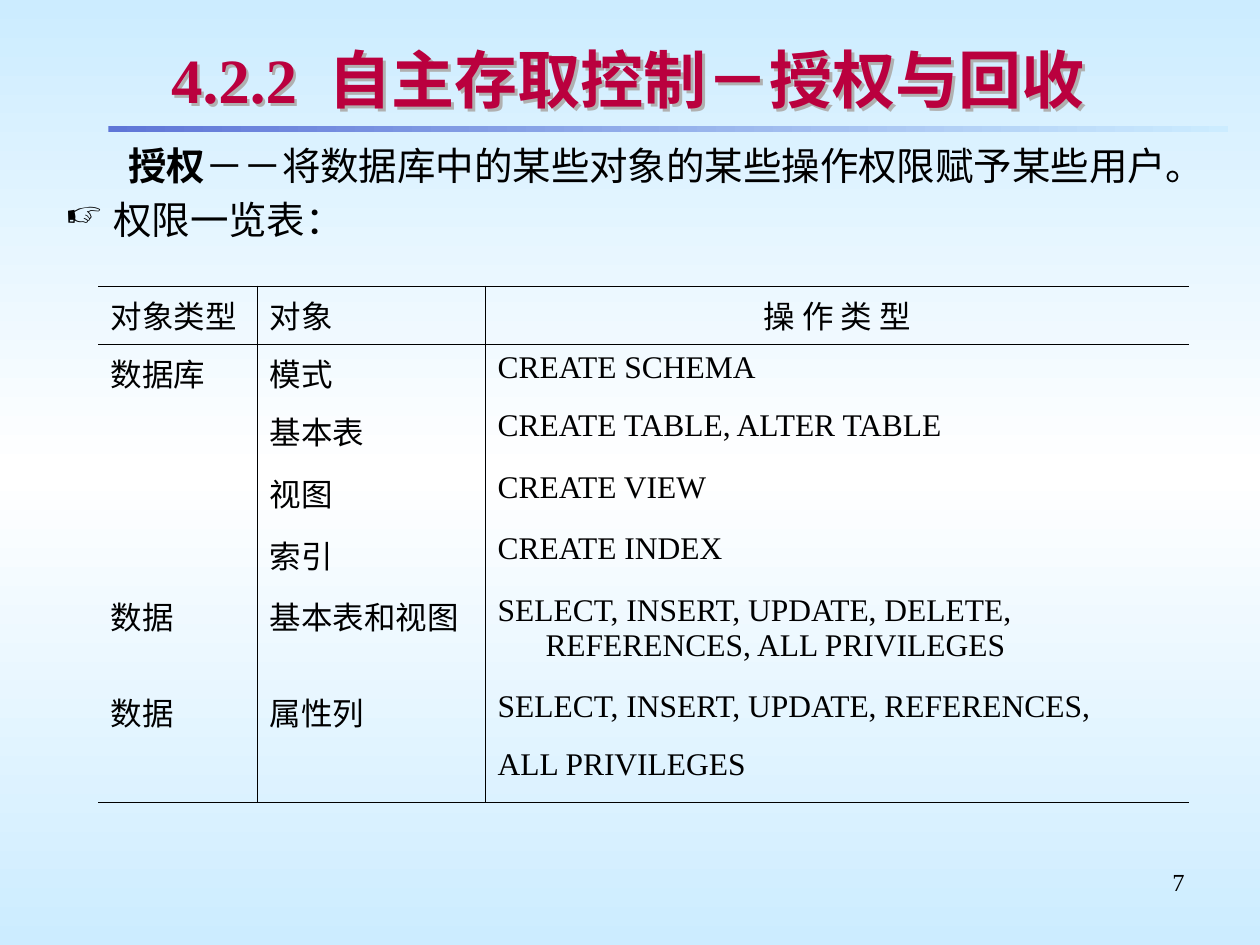
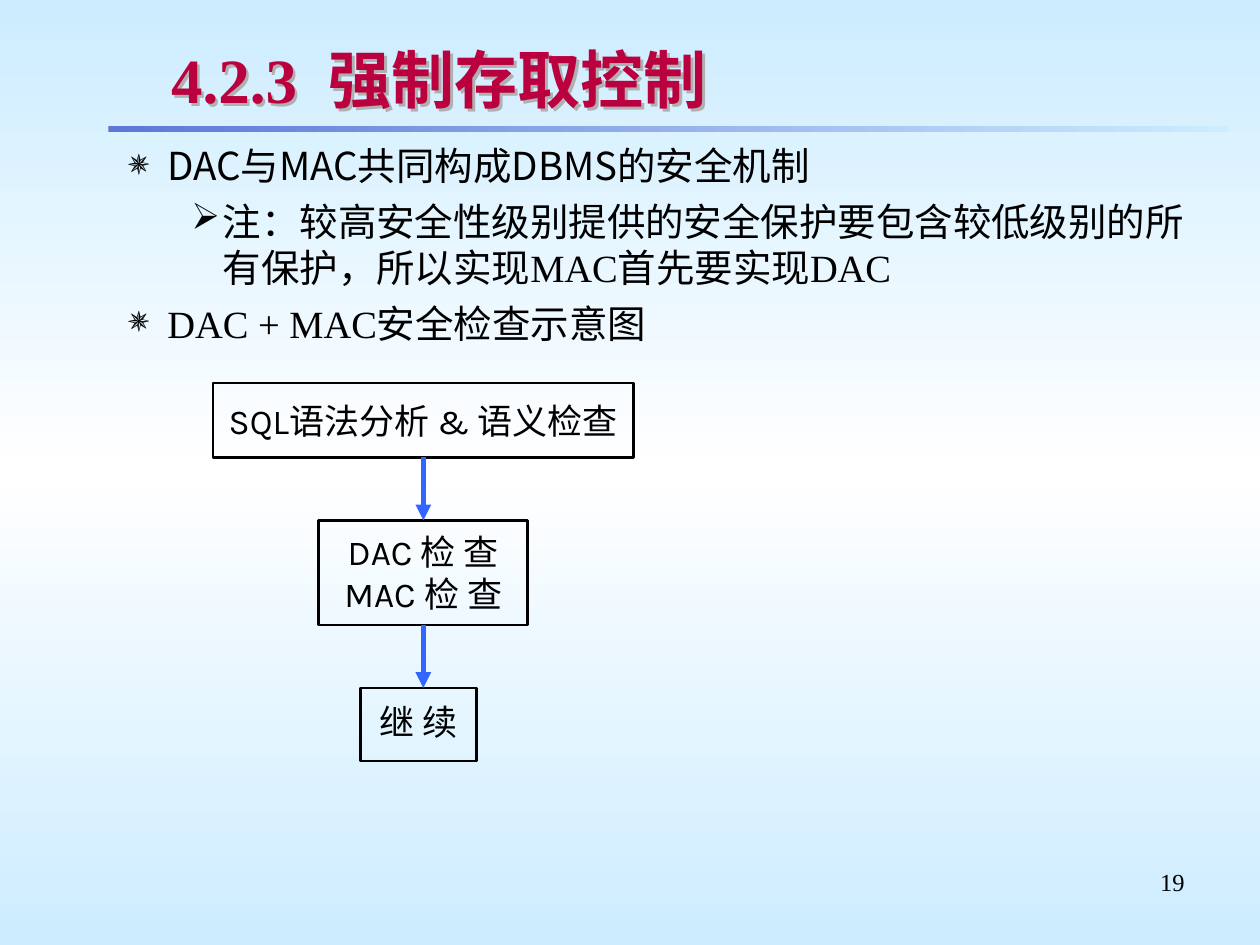
from lxml.etree import SubElement
from pptx import Presentation
from pptx.dml.color import RGBColor
from pptx.enum.shapes import MSO_CONNECTOR as Connector, MSO_SHAPE as Shape
from pptx.enum.text import MSO_ANCHOR as Anchor, PP_ALIGN as Align
from pptx.oxml.ns import qn
from pptx.util import Inches, Pt

# Shared look
COLORS = {"ink": "000000", "title": "BA003E", "sky": "CCECFF", "white": "FFFFFF",
          "rule": "5F76D7", "arrow": "3366FF", "shade": "B0B0B0"}
SERIF, SANS, LABEL = "Times New Roman", "Noto Sans CJK SC", "Karla"

# Outline levels: left margin, hanging indent, bullet
LEVELS = {"hand": (0.38, 0.38, "☞"), "plain": (0.81, 0.31, None),
          "star": (0.81, 0.31, "✵"), "arrow": (1.25, 0.25, "➢")}

# Slide content: outline paragraphs are (level, alignment, [(text, font, bold), ...])
GRANT = {
    "title": "4.2.2  自主存取控制－授权与回收", "number": "7", "height": 6, "space": 4.1,
    "outline": [
        ("plain", Align.LEFT, [("授权", SERIF, True),
                               ("－－将数据库中的某些对象的某些操作权限赋予某些用户。", SERIF, False)]),
        ("hand", Align.LEFT, [("权限一览表：", SERIF, False)]),
    ],
}
MANDATORY = {
    "title": "4.2.3  强制存取控制", "number": "19", "height": 2.67, "space": 5.5,
    "outline": [
        ("star", Align.LEFT, [("DAC与MAC共同构成DBMS的安全机制", SANS, False)]),
        ("arrow", Align.LEFT, [("注：较高安全性级别提供的安全保护要包含较低级别的所有保护，"
                                "所以实现MAC首先要实现DAC", SERIF, False)]),
        ("star", Align.JUSTIFY, [("DAC + MAC安全检查示意图", SERIF, False)]),
    ],
}

PRIVILEGES = [
    ("对象类型", "对象", "操 作 类 型"),
    ("数据库", "模式", "CREATE SCHEMA"),
    ("", "基本表", "CREATE TABLE, ALTER TABLE"),
    ("", "视图", "CREATE VIEW"),
    ("", "索引", "CREATE INDEX"),
    ("数据", "基本表和视图", "SELECT, INSERT, UPDATE, DELETE, REFERENCES, ALL PRIVILEGES"),
    ("数据", "属性列", "SELECT, INSERT, UPDATE, REFERENCES,"),
    ("", "", "ALL PRIVILEGES"),
]
COLUMN_WIDTHS = [1.26, 1.81, 5.59]
ROW_HEIGHTS = [0.46, 0.46, 0.49, 0.49, 0.49, 0.76, 0.46, 0.49]

# Check steps: lines, left, width, height, line spacing, space before
STEPS = [
    (["SQL语法分析 & 语义检查"], 1.69, 3.34, 0.59, 1, 0),
    (["DAC 检 查", "MAC 检 查"], 2.53, 1.66, 0.83, 1, 0),
    (["继 续"], 2.86, 0.92, 0.58, 0.9, 5),
]
STEPS_TOP, STEP_GAP, ARROW_X = 3.04, 0.5, 3.36


def rgb(name):
    return RGBColor.from_string(COLORS[name])


def style(span, size, font=SERIF, color="ink", bold=False):
    span.font.size, span.font.bold, span.font.name = Pt(size), bold, font
    span.font.color.rgb = rgb(color)
    SubElement(span.font._element, qn("a:ea")).set("typeface", SANS)


def solid(parent, color):
    SubElement(SubElement(parent, qn("a:solidFill")), qn("a:srgbClr")).set("val", COLORS[color])


def gradient(fill, owner, colors, angle):
    fill.gradient()
    fill.gradient_angle = angle
    stops = owner.find(".//" + qn("a:gsLst"))
    for stop in list(stops):
        stops.remove(stop)
    for index, color in enumerate(colors):
        stop = SubElement(stops, qn("a:gs"), pos=str(100000 * index // (len(colors) - 1)))
        SubElement(stop, qn("a:srgbClr")).set("val", COLORS[color])


def indent(para, margin, hang):
    props = para._p.get_or_add_pPr()
    props.set("marL", str(Inches(margin)))
    props.set("indent", str(-Inches(hang)))
    return props


def add_text(page, left, top, width, height):
    box = page.shapes.add_textbox(*map(Inches, (left, top, width, height)))
    box.text_frame.word_wrap = True
    return box


def add_page(deck, content):
    page = deck.slides.add_slide(deck.slide_layouts[6])
    gradient(page.background.fill, page.element, ["sky", "white", "sky"], 90)

    # Rule under the title
    rule = page.shapes.add_shape(Shape.RECTANGLE, *map(Inches, (0.86, 1, 8.89, 0.05)))
    rule.shadow.inherit = False
    rule.line.fill.background()
    gradient(rule.fill, rule._element, ["rule", "sky"], 0)

    # Page number
    para = add_text(page, 7.17, 6.83, 2.33, 0.52).text_frame.paragraphs[0]
    para.text, para.alignment = content["number"], Align.RIGHT
    style(para.runs[0], 14)

    # Title with a soft letter shadow
    box = add_text(page, 1.26, 0.29, 8.24, 0.67)
    frame = box.text_frame
    frame.vertical_anchor = Anchor.MIDDLE
    frame.margin_top = frame.margin_bottom = Inches(0.04)
    frame.text = content["title"]
    style(frame.paragraphs[0].runs[0], 36, color="title", bold=True)
    effects = SubElement(box._element.spPr, qn("a:effectLst"))
    shade = SubElement(effects, qn("a:outerShdw"), dist=str(Pt(2)), dir="2700000")
    SubElement(shade, qn("a:srgbClr")).set("val", COLORS["shade"])

    # Outline
    frame = add_text(page, 0.42, 1.08, 9.25, content["height"]).text_frame
    for index, (level, alignment, spans) in enumerate(content["outline"]):
        para = frame.add_paragraph() if index else frame.paragraphs[0]
        para.alignment, para.space_before = alignment, Pt(content["space"])
        margin, hang, bullet = LEVELS[level]
        props = indent(para, margin, hang)
        if bullet:
            SubElement(SubElement(props, qn("a:buClr")), qn("a:srgbClr")).set("val", COLORS["ink"])
            SubElement(props, qn("a:buSzPct")).set("val", "95000")
            SubElement(props, qn("a:buChar")).set("char", bullet)
        for text, font, bold in spans:
            span = para.add_run()
            span.text = text
            style(span, 22, font, bold=bold)
    return page


def set_borders(cell, sides):
    props = cell._tc.get_or_add_tcPr()
    for side in "LRTB":
        line = SubElement(props, qn("a:ln" + side), w=str(Pt(0.45)))
        if side in sides:
            solid(line, "ink")
        else:
            SubElement(line, qn("a:noFill"))


def add_privileges(page):
    rows, columns = len(ROW_HEIGHTS), len(COLUMN_WIDTHS)
    table = page.shapes.add_table(rows, columns, Inches(0.78), Inches(2.27),
                                  Inches(sum(COLUMN_WIDTHS)), Inches(sum(ROW_HEIGHTS))).table
    table.first_row = table.horz_banding = False
    for column, width in zip(table.columns, COLUMN_WIDTHS):
        column.width = Inches(width)
    for r, (texts, height) in enumerate(zip(PRIVILEGES, ROW_HEIGHTS)):
        table.rows[r].height = Inches(height)
        for c, text in enumerate(texts):
            cell = table.cell(r, c)
            # Lines above and below the header, at the foot, and between columns
            drawn = {"L": c > 0, "R": c < columns - 1, "T": r < 2, "B": r in (0, rows - 1)}
            set_borders(cell, [side for side, shown in drawn.items() if shown])
            cell.fill.background()
            para = cell.text_frame.paragraphs[0]
            para.text = text
            indent(para, 0.38, 0.38)
            if r == 0 and c == columns - 1:
                para.alignment = Align.CENTER
            for span in para.runs:
                style(span, 18)


def add_step(page, top, lines, left, width, height, spacing, before):
    box = page.shapes.add_shape(Shape.RECTANGLE, *map(Inches, (left, top, width, height)))
    box.shadow.inherit = False
    box.fill.background()
    box.line.color.rgb, box.line.width = rgb("ink"), Pt(1.5)
    frame = box.text_frame
    frame.word_wrap, frame.vertical_anchor = False, Anchor.MIDDLE
    frame.text = "\n".join(lines)
    for para in frame.paragraphs:
        para.alignment, para.line_spacing = Align.CENTER, float(spacing)
        para.space_before = Pt(before)
        style(para.runs[0], 20, LABEL)
    return box


def add_arrow(page, upper, lower):
    x = Inches(ARROW_X)
    arrow = page.shapes.add_connector(Connector.STRAIGHT, x, upper.top + upper.height, x, lower.top)
    arrow.line.color.rgb, arrow.line.width = rgb("arrow"), Pt(3)
    SubElement(arrow.line._get_or_add_ln(), qn("a:tailEnd")).set("type", "triangle")
    SubElement(arrow._element.spPr, qn("a:effectLst"))
    # Join only where the arrow meets the middle of a side
    if abs(upper.left + upper.width // 2 - x) < Inches(0.01):
        arrow.begin_connect(upper, 2)
    if abs(lower.left + lower.width // 2 - x) < Inches(0.01):
        arrow.end_connect(lower, 0)


def add_check_flow(page):
    top, boxes = STEPS_TOP, []
    for step in STEPS:
        boxes.append(add_step(page, top, *step))
        top += step[3] + STEP_GAP
    for upper, lower in zip(boxes, boxes[1:]):
        add_arrow(page, upper, lower)


def main():
    deck = Presentation()
    deck.slide_width, deck.slide_height = Inches(10), Inches(7.5)
    add_privileges(add_page(deck, GRANT))
    add_check_flow(add_page(deck, MANDATORY))
    deck.save("out.pptx")


if __name__ == "__main__":
    main()
